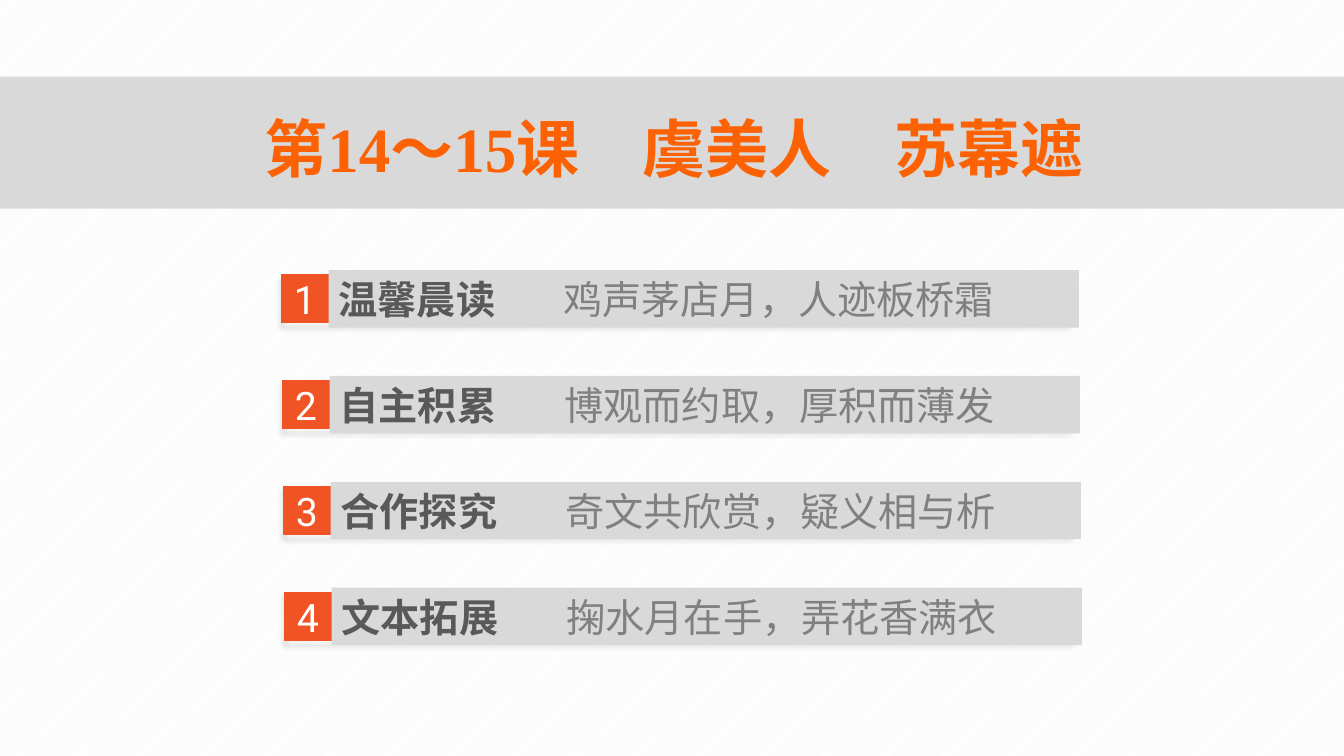
import lxml.etree
import pptx
import pptx.dml.color
import pptx.enum.dml
import pptx.enum.shapes
import pptx.enum.text
import pptx.oxml.ns
import pptx.util

WIDTH, HEIGHT = 13.33, 7.5
GREY, ORANGE = "D9D9D9", "F05425"
CHINESE_FONT = "Noto Sans CJK SC"
ROW_PITCH, ROW_SHIFT = 1.05, 0.01
SECTIONS = [
    ("温馨晨读", "鸡声茅店月，人迹板桥霜"),
    ("自主积累", "博观而约取，厚积而薄发"),
    ("合作探究", "奇文共欣赏，疑义相与析"),
    ("文本拓展", "掬水月在手，弄花香满衣"),
]


def color(value):
    return pptx.dml.color.RGBColor.from_string(value)


def place(shape, box):
    shape.left, shape.top, shape.width, shape.height = map(pptx.util.Inches, box)


def add_element(parent, tag, **attributes):
    element = lxml.etree.SubElement(parent, pptx.oxml.ns.qn(tag))
    for name, value in attributes.items():
        element.set(name, str(value))
    return element


def add_rectangle(shapes, box, fill=None, line=None):
    shape = shapes.add_shape(
        pptx.enum.shapes.MSO_SHAPE.RECTANGLE, *map(pptx.util.Inches, box))
    shape.shadow.inherit = False
    if fill:
        shape.fill.solid()
        shape.fill.fore_color.rgb = color(fill)
    else:
        shape.fill.background()
    if line:
        shape.line.color.rgb = color(line)
        shape.line.width = pptx.util.Pt(1)
    else:
        shape.line.fill.background()
    return shape


def add_shadow(shape):
    effects = shape._element.spPr.find(pptx.oxml.ns.qn("a:effectLst"))
    shadow = add_element(effects, "a:outerShdw", blurRad=pptx.util.Pt(4),
                         dist=pptx.util.Pt(3), dir=90 * 60000, algn="t", rotWithShape=0)
    shade = add_element(shadow, "a:srgbClr", val="000000")
    add_element(shade, "a:alpha", val=40000)


def format_run(run, size, font, value, bold=False):
    run.font.size = pptx.util.Pt(size)
    run.font.name = font
    run.font.bold = bold
    run.font.color.rgb = color(value)
    add_element(run.font._element, "a:ea", typeface=CHINESE_FONT)


def prepare_text(shape, alignment):
    frame = shape.text_frame
    frame.word_wrap = True
    frame.auto_size = pptx.enum.text.MSO_AUTO_SIZE.NONE
    frame.vertical_anchor = pptx.enum.text.MSO_ANCHOR.MIDDLE
    frame.margin_top = frame.margin_bottom = 0
    paragraph = frame.paragraphs[0]
    paragraph.alignment = alignment
    return paragraph


def add_background(slide):
    fill = slide.background.fill
    fill.patterned()
    fill.pattern = pptx.enum.dml.MSO_PATTERN.LIGHT_UPWARD_DIAGONAL
    fill.fore_color.rgb = color("F2F2F2")
    fill.back_color.rgb = color("FFFFFF")


def add_heading(slide, box):
    left, top, width, height = box
    band = add_rectangle(slide.shapes, box, fill=GREY)
    title = slide.shapes.title
    title._element.addprevious(band._element)
    place(title, (left + 1.15, top + 0.29, 11.07, 0.82))
    paragraph = prepare_text(title, pptx.enum.text.PP_ALIGN.CENTER)
    paragraph.text = "第14～15课　虞美人　苏幕遮"
    format_run(paragraph.runs[0], 45, "Times New Roman", "FC6204", bold=True)


def add_section(slide, box, number, name, verse):
    left, top, width, height = box
    group = slide.shapes.add_group_shape()
    badge_size, badge_top = 0.47, top + 0.05
    frame = add_rectangle(group.shapes, (left, badge_top, 7.79, badge_size), line=ORANGE)
    add_shadow(frame)

    badge = add_rectangle(
        group.shapes, (left, badge_top, badge_size, badge_size), ORANGE, ORANGE)
    badge.text_frame.margin_left = badge.text_frame.margin_right = 0
    paragraph = prepare_text(badge, pptx.enum.text.PP_ALIGN.CENTER)
    paragraph.text = str(number)
    format_run(paragraph.runs[0], 28, "Roboto", "FFFFFF")

    bar = add_rectangle(
        group.shapes, (left + badge_size, top, width - badge_size, height), fill=GREY)
    paragraph = prepare_text(bar, pptx.enum.text.PP_ALIGN.LEFT)
    tabs = add_element(paragraph._p.get_or_add_pPr(), "a:tabLst")
    add_element(tabs, "a:tab", pos=pptx.util.Inches(2.23), algn="l")
    for text, value, bold in ((name + "\t", "595959", True), (verse, "808080", False)):
        run = paragraph.add_run()
        run.text = text
        format_run(run, 28, CHINESE_FONT, value, bold)


def main():
    presentation = pptx.Presentation()
    presentation.slide_width = pptx.util.Inches(WIDTH)
    presentation.slide_height = pptx.util.Inches(HEIGHT)
    slide = presentation.slides.add_slide(presentation.slide_layouts[5])
    add_background(slide)
    add_heading(slide, (0, 0.76, WIDTH, 1.31))
    for index, (name, verse) in enumerate(SECTIONS):
        box = (2.79 + index * ROW_SHIFT, 2.68 + index * ROW_PITCH, 7.91, 0.57)
        add_section(slide, box, index + 1, name, verse)
    presentation.save("out.pptx")


if __name__ == "__main__":
    main()
